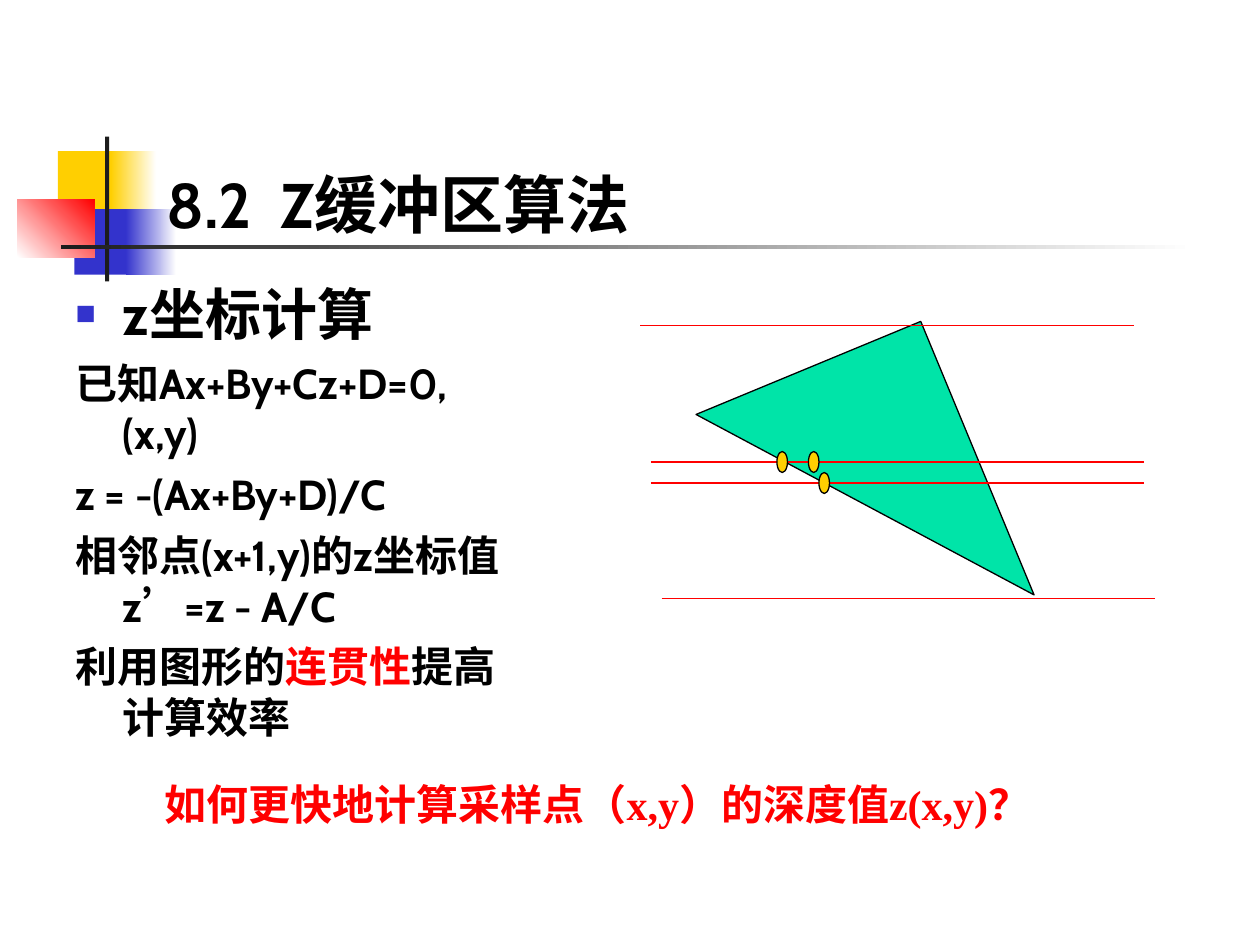
from lxml import etree
from pptx import Presentation
from pptx.dml.color import RGBColor
from pptx.enum import shapes, text
from pptx.oxml.ns import qn
from pptx.util import Pt

YELLOW = RGBColor(0xFF, 0xCF, 0x01)
BLUE = RGBColor(0x33, 0x33, 0xCC)
RED = RGBColor(0xFF, 0, 0)
DARK = RGBColor(0x1C, 0x1C, 0x1C)
GREEN = RGBColor(0, 0xE4, 0xA8)
BLACK = RGBColor(0, 0, 0)
WHITE = RGBColor(0xFF, 0xFF, 0xFF)

TITLE = "8.2  Z缓冲区算法"
BODY = [
    [("z坐标计算", BLACK)],
    [("已知Ax+By+Cz+D=0, (x,y)", BLACK)],
    [("z = -(Ax+By+D)/C", BLACK)],
    [("相邻点(x+1,y)的z坐标值z’=z - A/C", BLACK)],
    [("利用图形的", BLACK), ("连贯性", RED), ("提高计算效率", BLACK)],
]
QUESTION = "如何更快地计算采样点（x,y）的深度值z(x,y)？"

DECOR = [
    ((33.1, 86.4, 34.6, 37.4), (YELLOW,), 0),
    ((63.4, 86.4, 25.9, 37.4), (YELLOW, WHITE), 0),
    ((42.5, 119.5, 33.1, 37.4), (BLUE,), 0),
    ((72, 119.5, 28.8, 37.4), (BLUE, WHITE), 0),
    ((10, 113.8, 44, 33.2), (WHITE, RED), 45),
    ((60, 78, 2.4, 82.8), (DARK,), 0),
    ((34.8, 140, 648, 2.5), (DARK, WHITE), 0),
]
TRIANGLE = (409.7, 218.9, 169.2, 139)
SCAN_LINES = [(366, 186), (372, 264), (378, 342), (372, 276)]
SCAN_WIDTH = 282
SAMPLES = [(444, 258), (462, 258), (468, 270)]


def add_shape(s, kind, box, colors, angle=0, line=None):
    sp = s.shapes.add_shape(kind, *map(Pt, box))
    sp.shadow.inherit = False
    if len(colors) == 1:
        sp.fill.solid()
        sp.fill.fore_color.rgb = colors[0]
    else:
        sp.fill.gradient()
        sp.fill.gradient_angle = angle
        for stop, color, pos in zip(sp.fill.gradient_stops, colors, (0, 1)):
            stop.color.rgb = color
            stop.position = pos
    if line is None:
        sp.line.fill.background()
    else:
        sp.line.color.rgb = line
        sp.line.width = Pt(0.75)
    return sp


def place(sp, box, anchor):
    sp.left, sp.top, sp.width, sp.height = map(Pt, box)
    tf = sp.text_frame
    tf.word_wrap = True
    tf.auto_size = text.MSO_AUTO_SIZE.NONE
    tf.vertical_anchor = anchor
    return tf


def add_run(p, words, size, color, font="Cabin"):
    r = p.add_run()
    r.text = words
    r.font.name = font
    r.font.size = Pt(size)
    r.font.bold = True
    r.font.color.rgb = color


def set_bullet(p, bulleted):
    pPr = p._p.get_or_add_pPr()
    pPr.set("marL", str(Pt(27)))
    pPr.set("indent", str(-Pt(27)))
    if not bulleted:
        etree.SubElement(pPr, qn("a:buNone"))
        return
    clr = etree.SubElement(pPr, qn("a:buClr"))
    etree.SubElement(clr, qn("a:srgbClr"), val=str(BLUE))
    etree.SubElement(pPr, qn("a:buSzPct"), val="60000")
    etree.SubElement(pPr, qn("a:buChar"), char="■")


def main():
    prs = Presentation()
    prs.slide_width, prs.slide_height = Pt(720), Pt(540)
    s = prs.slides.add_slide(prs.slide_layouts[1])
    title, body = s.shapes.title, s.placeholders[1]

    for box, colors, angle in DECOR:
        add_shape(s, shapes.MSO_SHAPE.RECTANGLE, box, colors, angle)
    for sp in (body, title):
        s.shapes._spTree.append(sp._element)

    tf = place(title, (87.8, 88.6, 332, 52.6), text.MSO_ANCHOR.BOTTOM)
    p = tf.paragraphs[0]
    p.alignment = text.PP_ALIGN.LEFT
    add_run(p, TITLE, 36, BLACK)

    tf = place(body, (36, 156.2, 270, 330), text.MSO_ANCHOR.TOP)
    for i, runs in enumerate(BODY):
        p = tf.add_paragraph() if i else tf.paragraphs[0]
        set_bullet(p, i == 0)
        p.space_before = Pt(6 if i else 0)
        for words, color in runs:
            add_run(p, words, 24 if i else 32, color)

    tri = add_shape(s, shapes.MSO_SHAPE.RIGHT_TRIANGLE, TRIANGLE, (GREEN,), line=BLACK)
    tri.rotation = 67.5
    tri._element.spPr.find(qn("a:xfrm")).set("flipV", "1")

    for x, y in SCAN_LINES:
        c = s.shapes.add_connector(shapes.MSO_CONNECTOR.STRAIGHT,
                                   Pt(x), Pt(y), Pt(x + SCAN_WIDTH), Pt(y))
        c.line.color.rgb = RED
        c.line.width = Pt(0.75)
        etree.SubElement(c._element.spPr, qn("a:effectLst"))

    for x, y in SAMPLES:
        add_shape(s, shapes.MSO_SHAPE.OVAL, (x, y, 6, 12), (YELLOW,), line=BLACK)

    box = s.shapes.add_textbox(Pt(87), Pt(441.5), Pt(510.5), Pt(36))
    box.text_frame.word_wrap = True
    add_run(box.text_frame.paragraphs[0], QUESTION, 24, RED, "Times New Roman")

    prs.save("out.pptx")


if __name__ == "__main__":
    main()
